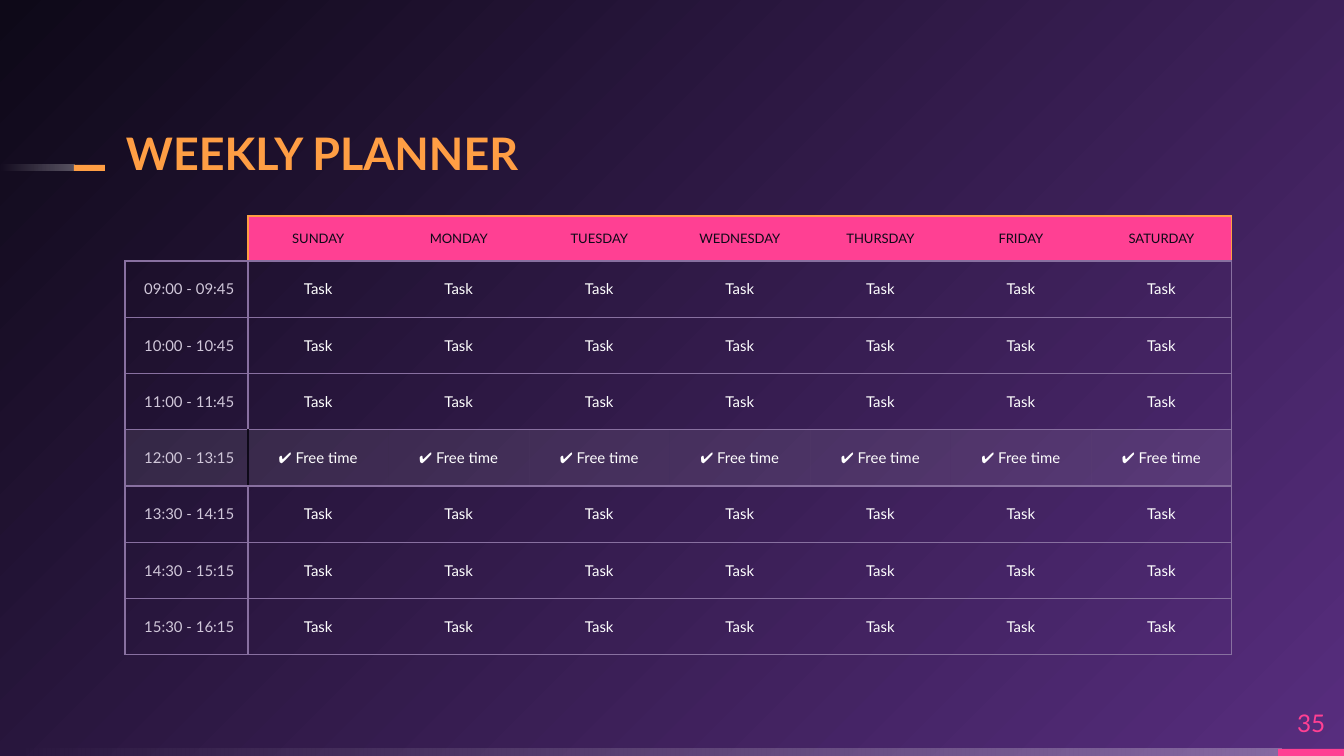
from lxml import etree
from pptx import Presentation
from pptx import util as u
from pptx.dml.color import RGBColor
from pptx.enum import shapes, text
from pptx.oxml import parse_xml
from pptx.oxml.ns import nsdecls, qn

PX = 914400 / 134.4
FONT = "Lato"
COLORS = {
    "night": "0E0918", "violet": "572D7E", "pink": "FF4093", "orange": "FF9E44",
    "rule": "8870A0", "hour": "D1C8DA", "white": "FFFFFF",
}
rgb = {name: RGBColor.from_string(value) for name, value in COLORS.items()}


def px(*lengths):
    return [u.Emu(round(length * PX)) for length in lengths]


def write(frame, words, size, color, align, bold=False):
    """Put one formatted run in the frame's first paragraph."""
    paragraph = frame.paragraphs[0]
    paragraph.alignment = align
    run = paragraph.add_run()
    run.text = words
    run.font.name, run.font.size, run.font.bold = FONT, u.Pt(size), bold
    run.font.color.rgb = rgb[color]


prs = Presentation()
prs.slide_width, prs.slide_height = px(1344, 756)
slide = prs.slides.add_slide(prs.slide_layouts[5])

# Background glows from the bottom right corner
glow = slide.background.fill
glow.gradient()
for stop, color, position in zip(glow.gradient_stops, ("violet", "night"), (0, 1)):
    stop.color.rgb, stop.position = rgb[color], position
linear = next(slide.background._cSld.iter(qn("a:lin")))
linear.getparent().replace(linear, parse_xml(
    f'<a:path {nsdecls("a")} path="circle"><a:fillToRect l="100000" t="100000"/></a:path>'))

# Fading bars, each ending in a solid accent
bars = [
    (0, 749, 1282, 7, None), (1278, 749, 66, 7, "pink"),
    (0, 165, 75, 6, None), (74, 165, 31, 6, "orange"),
]
for *box, color in bars:
    bar = slide.shapes.add_shape(shapes.MSO_SHAPE.RECTANGLE, *px(*box))
    bar.shadow.inherit = False
    bar.line.fill.background()
    if color:
        bar.fill.solid()
        bar.fill.fore_color.rgb = rgb[color]
        continue
    bar.fill.gradient()
    bar.fill.gradient_angle = 180
    for stop, position in zip(bar.fill.gradient_stops, (0, 1)):
        stop.color.rgb, stop.position = rgb["white"], position
    for tint, alpha in zip(bar._element.spPr.iter(qn("a:srgbClr")), (29000, 0)):
        etree.SubElement(tint, qn("a:alpha"), val=str(alpha))

# Title and page number
title = slide.shapes.title
title.left, title.top, title.width, title.height = px(126, 122, 780, 58)
page = slide.shapes.add_textbox(*px(1278, 697, 66, 52))
for holder, anchor in ((title, text.MSO_ANCHOR.BOTTOM), (page, text.MSO_ANCHOR.MIDDLE)):
    frame = holder.text_frame
    frame.word_wrap, frame.auto_size = True, text.MSO_AUTO_SIZE.NONE
    frame.vertical_anchor = anchor
    frame.margin_left = frame.margin_right = frame.margin_top = frame.margin_bottom = 0
write(title.text_frame, "WEEKLY PLANNER", 24, "orange", text.PP_ALIGN.LEFT, bold=True)
title.text_frame.paragraphs[0].line_spacing = 0.9
write(page.text_frame, "35", 13, "pink", text.PP_ALIGN.CENTER)

# Planner
days = ["SUNDAY", "MONDAY", "TUESDAY", "WEDNESDAY", "THURSDAY", "FRIDAY", "SATURDAY"]
hours = ["09:00 - 09:45", "10:00 - 10:45", "11:00 - 11:45", "12:00 - 13:15",
         "13:30 - 14:15", "14:30 - 15:15", "15:30 - 16:15"]
FREE_ROW = 4
grid = [["", *days]]
for row, hour in enumerate(hours, 1):
    grid.append([hour] + ["✔ Free time" if row == FREE_ROW else "Task"] * len(days))

planner = slide.shapes.add_table(len(grid), len(grid[0]), *px(125, 216, 1107, 439)).table
planner.first_row = planner.horz_banding = False
hour_width, days_width, header_height, hours_height = px(123, 984, 45, 394)
for index, column in enumerate(planner.columns):
    column.width = hour_width if index == 0 else u.Emu(days_width // len(days))
for index, line in enumerate(planner.rows):
    line.height = header_height if index == 0 else u.Emu(hours_height // len(hours))

for row, entries in enumerate(grid):
    for col, words in enumerate(entries):
        cell = planner.cell(row, col)
        header, corner = row == 0, row == col == 0
        cell.vertical_anchor = text.MSO_ANCHOR.MIDDLE
        margin = 0 if corner else u.Inches(0.1)
        cell.margin_left = cell.margin_right = cell.margin_top = cell.margin_bottom = margin
        if header and words:
            write(cell.text_frame, words, 7, "night", text.PP_ALIGN.CENTER)
        elif words:
            color, align = (("hour", text.PP_ALIGN.RIGHT) if col == 0
                            else ("white", text.PP_ALIGN.CENTER))
            write(cell.text_frame, words, 8, color, align)

        props = cell._tc.get_or_add_tcPr()
        if corner or (not header and row != FREE_ROW):
            cell.fill.background()
        else:
            cell.fill.solid()
            cell.fill.fore_color.rgb = rgb["pink" if header else "white"]
            if row == FREE_ROW:
                etree.SubElement(next(props.iter(qn("a:srgbClr"))), qn("a:alpha"), val="9000")

        edge = "orange" if header else "rule"
        divider = "night" if row == FREE_ROW else edge
        borders = {
            "lnL": divider if col == 1 else edge if col == 0 and not header else None,
            "lnR": divider if col == 0 else edge if col == len(days) else None,
            "lnT": None if corner else edge,
            "lnB": "rule",
        }
        for order, (side, color) in enumerate(borders.items()):
            paint = (f'<a:solidFill><a:srgbClr val="{COLORS[color]}"/></a:solidFill>'
                     if color else "<a:noFill/>")
            props.insert(order, parse_xml(
                f'<a:{side} {nsdecls("a")} w="{u.Pt(0.75)}">{paint}</a:{side}>'))

prs.save("out.pptx")
